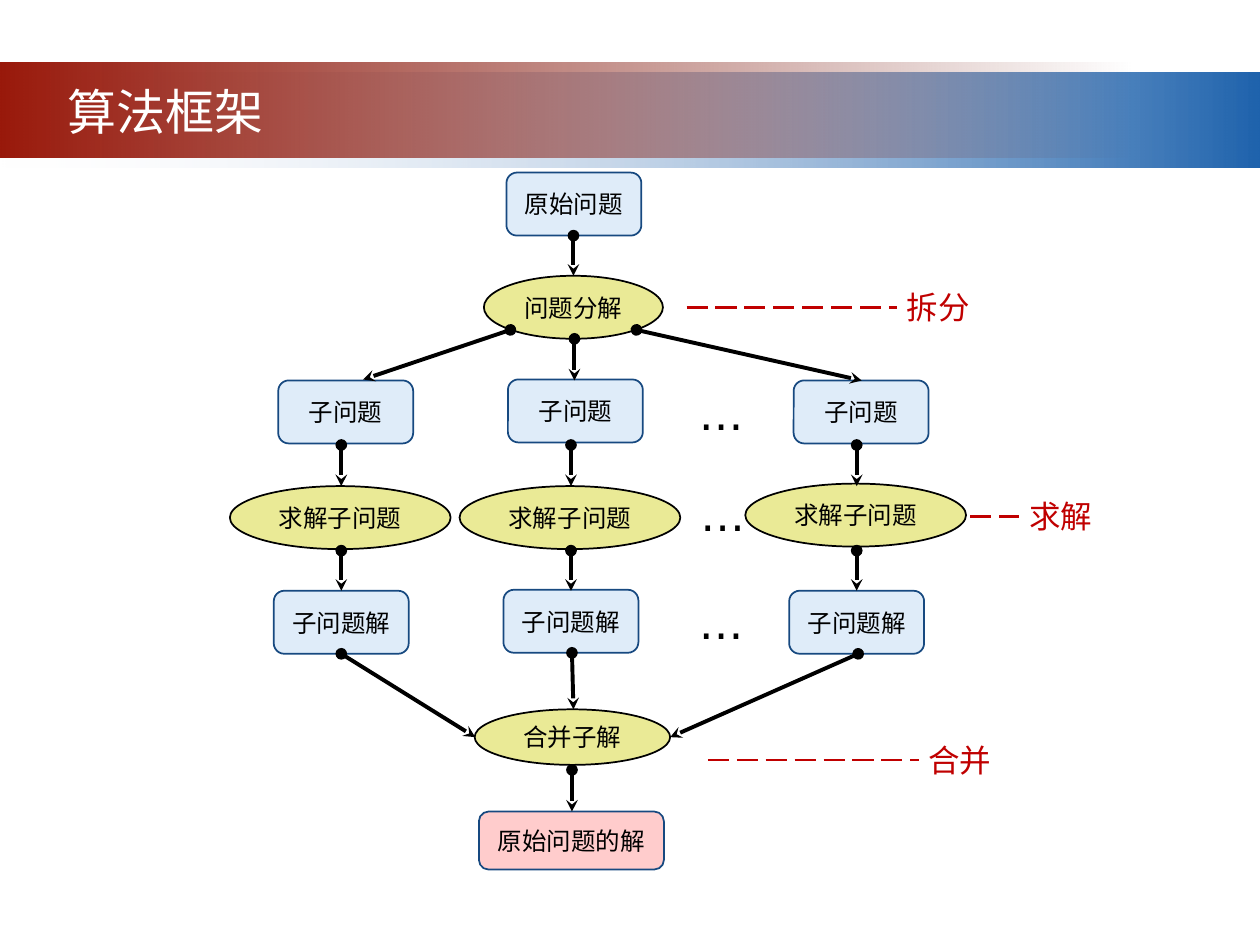
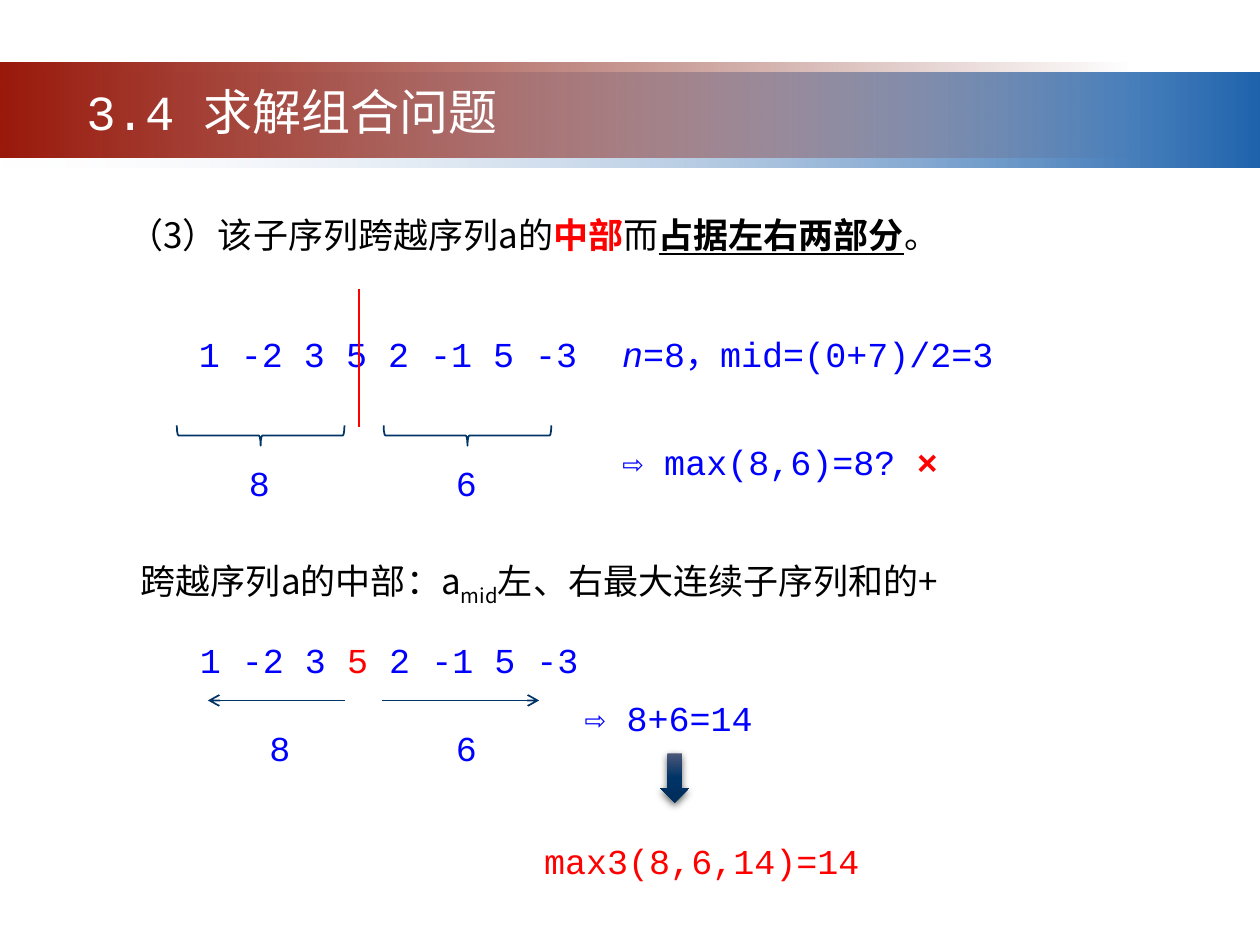
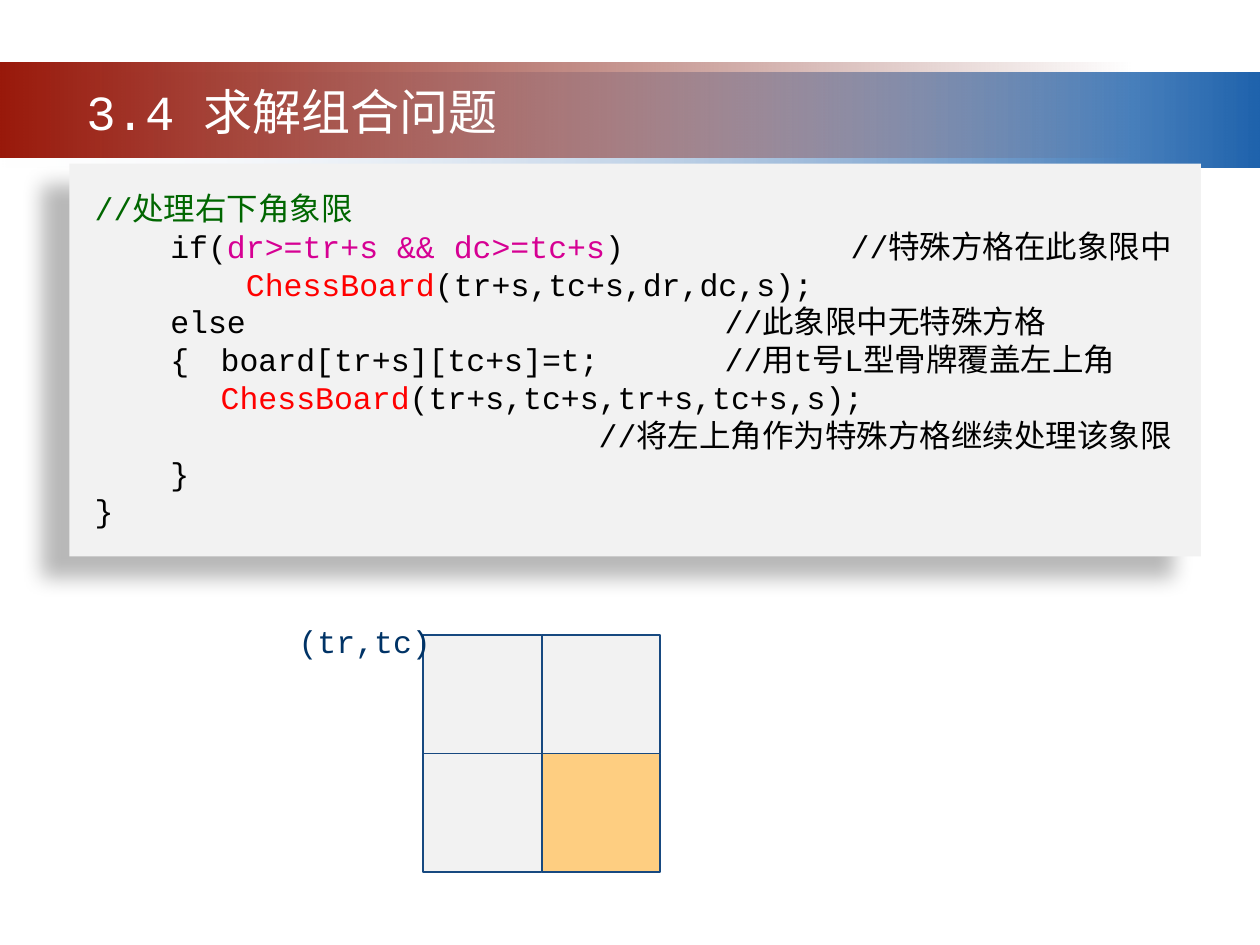
from lxml import etree
from pptx import Presentation
from pptx.dml.color import RGBColor
from pptx.enum.dml import MSO_LINE
from pptx.enum.shapes import MSO_CONNECTOR, MSO_SHAPE
from pptx.enum.text import MSO_ANCHOR, PP_ALIGN
from pptx.oxml.ns import qn
from pptx.util import Cm, Pt

BLACK = RGBColor(0, 0, 0)
WHITE = RGBColor(255, 255, 255)
RED = RGBColor(255, 0, 0)
DARK_RED = RGBColor(0xC0, 0, 0)
BLUE = RGBColor(0, 0, 255)
NAVY = RGBColor(0, 0x33, 0x66)
EDGE = RGBColor(0x17, 0x49, 0x80)
SKY = RGBColor(0x63, 0xA1, 0xE3)
OLIVE = RGBColor(0xCC, 0xCC, 0)
GREEN = RGBColor(0, 0x66, 0)
MAGENTA = RGBColor(0xD6, 0, 0x93)
GREY = RGBColor(0xF2, 0xF2, 0xF2)
ORANGE = RGBColor(0xFE, 0xCE, 0x81)
BAND_PALE = RGBColor(0xF1, 0xF2, 0xF7)
BAND_BLUE = RGBColor(0x1F, 0x63, 0xAD)
BAND_RED = RGBColor(0x99, 0x19, 0x0B)
BAND_DARK = RGBColor(0x6D, 0x12, 0x08)
ARROW_TOP = RGBColor(0x4B, 0x57, 0x79)
ARROW_END = RGBColor(0, 0x2D, 0x5B)

CJK, MONO, SANS = "Noto Sans CJK SC", "Courier New", "DejaVu Sans"
BOX, OVAL, RECT = MSO_SHAPE.ROUNDED_RECTANGLE, MSO_SHAPE.OVAL, MSO_SHAPE.RECTANGLE

BANDS = [
    ((0, 1.47, 25.4, 1.9), [(0, BAND_PALE, 0), (100, BAND_BLUE, 100)]),
    ((0, 1.27, 22.86, 1.9), [(0, BAND_RED, 100), (100, BAND_DARK, 0)]),
]
TITLE_AT = (1.12, 1.52, 9.53, 1.45)
SECTION = [("3.4 ", {"font": MONO}), "求解组合问题"]

COLUMNS = [6.88, 11.51, 17.27]
NODE_H = 1.27
ROWS = [
    ("子问题", BOX, 2.72, 0.09, [7.67, 7.65, 7.67]),
    ("求解子问题", OVAL, 4.45, -0.02, [9.8, 9.8, 9.75]),
    ("子问题解", BOX, 2.72, 0, [11.91, 11.89, 11.91]),
]
SINGLES = [
    ("原始问题", BOX, SKY, 11.57, 3.48, 2.72, 1.27),
    ("问题分解", OVAL, OLIVE, 11.56, 5.56, 3.61, 1.27),
    ("合并子解", OVAL, OLIVE, 11.54, 14.3, 3.94, 1.12),
    ("原始问题的解", BOX, RED, 11.52, 16.36, 3.73, 1.17),
]
NODE_STYLE = {SKY: (20, EDGE), OLIVE: (41, BLACK), RED: (20, EDGE)}
FLOWS = [
    (11.56, 4.75, 11.56, 5.56),
    (10.29, 6.65, 7.32, 7.65),
    (11.58, 6.83, 11.58, 7.67),
    (12.83, 6.65, 17.37, 7.67),
    (6.88, 13.18, 9.58, 14.86),
    (11.53, 13.16, 11.56, 14.3),
    (17.3, 13.18, 13.51, 14.86),
    (11.53, 15.52, 11.53, 16.36),
]
COLUMN_FLOWS = [(8.97, 9.8), (11.1, 11.91)]
STAGES = [
    ("拆分", 13.84, 18.08, 6.2),
    ("求解", 19.56, 20.55, 10.41),
    ("合并", 14.27, 18.52, 15.32),
]
DOTS = [(13.69, 7.87), (13.72, 9.91), (13.69, 12.09)]

HALVES = [("8", 5.05), ("6", 9.22)]
FORMULAS = [
    (3.76, 6.58, 8.13, ["1 -2 3 5 2 -1 5 -3"]),
    (12.29, 6.58, 9.5, [("n", {"italic": True}), "=8，mid=(0+7)/2=3"]),
    (12.29, 8.76, 7.75, ["⇨ max(8,6)=8? ", ("×", {"color": RED, "bold": True})]),
    (3.78, 12.75, 8.13, ["1 -2 3 ", ("5", {"color": RED}), " 2 -1 5 -3"]),
    (5.18, 14.53, 0.99, ["8"]),
    (8.94, 14.53, 0.99, ["6"]),
    (11.53, 13.92, 4.78, ["⇨ 8+6=14"]),
    (10.72, 16.79, 7.34, [("max3(8,6,14)=14", {"color": RED})]),
]
CASE = [
    "（3）该子序列跨越序列a的",
    ("中部", {"color": RED, "bold": True}),
    "而",
    ("占据左右两部分", {"bold": True, "underline": True}),
    "。",
]
CROSSING = ["跨越序列a的中部：a", ("mid", {"base": -25}), "左、右最大连续子序列和的+"]

CALL = ("ChessBoard", {"color": RED})
CODE = [
    [("//处理右下角象限", {"color": GREEN})],
    ["    if(", ("dr>=tr+s && dc>=tc+s", {"color": MAGENTA}), ")\t\t//特殊方格在此象限中"],
    ["        ", CALL, "(tr+s,tc+s,dr,dc,s);"],
    ["    else\t\t\t\t//此象限中无特殊方格"],
    ["    {\tboard[tr+s][tc+s]=t;  \t//用t号L型骨牌覆盖左上角"],
    ["\t", CALL, "(tr+s,tc+s,tr+s,tc+s,s);"],
    ["\t\t\t\t//将左上角作为特殊方格继续处理该象限"],
    ["    }"],
    ["}"],
]
BOARD_LEFT, BOARD_TOP, CELL = 8.53, 12.8, 2.39
QUADRANTS = [[GREY, GREY], [GREY, ORANGE]]


def sub(parent, tag, **attrs):
    return etree.SubElement(parent, qn(tag), {k: str(v) for k, v in attrs.items()})


def cms(at):
    return [Cm(v) for v in at]


def add_shape(slide, kind, at, fill=None, alpha=100, line=None):
    sp = slide.shapes.add_shape(kind, *cms(at))
    sp.shadow.inherit = False
    if fill is None:
        sp.fill.background()
    else:
        sp.fill.solid()
        sp.fill.fore_color.rgb = fill
        if alpha < 100:
            color = sp._element.spPr.find(".//" + qn("a:srgbClr"))
            sub(color, "a:alpha", val=alpha * 1000)
    if line is None:
        sp.line.fill.background()
    else:
        sp.line.color.rgb = line
        sp.line.width = Pt(1)
    return sp


def set_gradient(sp, stops, angle):
    old = sp._element.spPr.find(qn("a:noFill"))
    grad = etree.Element(qn("a:gradFill"))
    stop_list = sub(grad, "a:gsLst")
    for pos, rgb, alpha in stops:
        color = sub(sub(stop_list, "a:gs", pos=pos * 1000), "a:srgbClr", val=rgb)
        sub(color, "a:alpha", val=alpha * 1000)
    sub(grad, "a:lin", ang=angle * 60000, scaled=0)
    old.getparent().replace(old, grad)


def set_shadow(sp, alpha, blur, dist, angle):
    effects = sp._element.spPr.find(qn("a:effectLst"))
    shadow = sub(effects, "a:outerShdw", blurRad=Pt(blur), dist=Pt(dist),
                 dir=angle * 60000, rotWithShape=0)
    sub(sub(shadow, "a:srgbClr", val=BLACK), "a:alpha", val=alpha * 1000)


def add_line(slide, at, color, width, head=None, tail=None):
    line = slide.shapes.add_connector(MSO_CONNECTOR.STRAIGHT, *cms(at))
    line.line.color.rgb = color
    line.line.width = Pt(width)
    for tag, kind in (("a:headEnd", head), ("a:tailEnd", tail)):
        if kind:
            sub(line.line._get_or_add_ln(), tag, type=kind)
    sub(line._element.spPr, "a:effectLst")
    return line


def write(sp, lines, size, font, color, align=PP_ALIGN.LEFT):
    tf = sp.text_frame
    for i, runs in enumerate(lines):
        p = tf.add_paragraph() if i else tf.paragraphs[0]
        p.alignment = align
        for run in runs:
            text, style = (run, {}) if isinstance(run, str) else run
            r = p.add_run()
            r.text = text
            r.font.size = Pt(size)
            r.font.color.rgb = style.get("color", color)
            r.font.name = style.get("font", font)
            sub(r._r.rPr, "a:ea", typeface=CJK)
            r.font.bold = style.get("bold")
            r.font.italic = style.get("italic")
            r.font.underline = style.get("underline")
            if "base" in style:
                r._r.rPr.set("baseline", str(style["base"] * 1000))


def add_text(slide, at, runs, size, font, color, align=PP_ALIGN.LEFT, anchor=MSO_ANCHOR.TOP):
    sp = slide.shapes.add_textbox(*cms(at))
    tf = sp.text_frame
    tf.word_wrap = True
    tf.vertical_anchor = anchor
    if align == PP_ALIGN.LEFT:
        tf.margin_right = 0
    write(sp, [runs], size, font, color, align)
    return sp


def add_bands(slide, layout):
    for at, stops in BANDS:
        band = add_shape(slide, RECT, at)
        set_gradient(band, stops, 0)
        layout.element.cSld.spTree.append(band._element)


def add_title(slide, runs, align):
    add_text(slide, TITLE_AT, runs, 28, CJK, WHITE, align)


def add_node(slide, text, kind, fill, center, top, width, height):
    alpha, edge = NODE_STYLE[fill]
    sp = add_shape(slide, kind, (center - width / 2, top, width, height), fill, alpha, edge)
    sp.text_frame.word_wrap = False
    sp.text_frame.vertical_anchor = MSO_ANCHOR.MIDDLE
    write(sp, [[text]], 14, SANS, BLACK, PP_ALIGN.CENTER)


def build_framework(slide):
    add_title(slide, ["算法框架"], PP_ALIGN.LEFT)
    for node in SINGLES:
        add_node(slide, *node)
    for text, kind, width, shift, tops in ROWS:
        fill = SKY if kind == BOX else OLIVE
        for x, top in zip(COLUMNS, tops):
            add_node(slide, text, kind, fill, x + shift, top, width, NODE_H)
    column_flows = [(x, y1, x, y2) for x in COLUMNS for y1, y2 in COLUMN_FLOWS]
    for at in FLOWS + column_flows:
        add_line(slide, at, BLACK, 2.25, "oval", "stealth")
    middle = PP_ALIGN.CENTER, MSO_ANCHOR.MIDDLE
    for text, x1, x2, y in STAGES:
        add_line(slide, (x1, y, x2, y), DARK_RED, 1.5).line.dash_style = MSO_LINE.LONG_DASH
        add_text(slide, (x2 - 0.53, y - 0.64, 2.72, 1.27), [text], 18, SANS, DARK_RED, *middle)
    for x, y in DOTS:
        add_text(slide, (x, y, 1.7, 1.3), [("…", {"base": 30})], 44, SANS, BLACK, *middle)


def build_crossing(slide):
    add_title(slide, SECTION, PP_ALIGN.CENTER)
    case = add_text(slide, (2.34, 3.86, 18.75, 1.24), CASE, 20, CJK, BLACK)
    case.text_frame.paragraphs[0].line_spacing = Pt(33)
    add_text(slide, (2.59, 11.15, 20.45, 1.12), CROSSING, 20, CJK, BLACK)
    for x, y, width, runs in FORMULAS:
        add_text(slide, (x, y, width, 1.12), runs, 20, MONO, BLUE)
    for total, x in HALVES:
        brace = add_shape(slide, MSO_SHAPE.LEFT_BRACE, (x, 7.09, 0.41, 3.38), line=NAVY)
        brace.rotation = 270
        add_text(slide, (x - 0.28, 9.17, 0.99, 1.12), [total], 20, MONO, BLUE)
    add_line(slide, (7.24, 5.82, 7.24, 8.61), RED, 1)
    for x1, x2 in ((6.96, 4.19), (7.7, 10.87)):
        add_line(slide, (x1, 14.12, x2, 14.12), NAVY, 1, tail="arrow")
    arrow = add_shape(slide, MSO_SHAPE.DOWN_ARROW, (13.31, 15.19, 0.58, 0.99))
    set_gradient(arrow, [(0, ARROW_TOP, 100), (50, NAVY, 100), (100, ARROW_END, 100)], 90)
    set_shadow(arrow, 63, 4.5, 1.5, 90)


def build_quadrant(slide):
    panel = add_shape(slide, RECT, (1.4, 3.3, 22.81, 7.92), GREY)
    set_shadow(panel, 28, 11.8, 19.7, 141)
    tf = panel.text_frame
    tf.word_wrap = True
    tf.vertical_anchor = MSO_ANCHOR.TOP
    tf.margin_left = tf.margin_top = tf.margin_bottom = Cm(0.51)
    write(panel, CODE, 18, MONO, BLACK)
    for p in tf.paragraphs:
        tabs = sub(p._p.get_or_add_pPr(), "a:tabLst")
        for n in range(1, 8):
            sub(tabs, "a:tab", pos=Cm(2.54 * n), algn="l")
    for row, fills in enumerate(QUADRANTS):
        for col, fill in enumerate(fills):
            at = (BOARD_LEFT + col * CELL, BOARD_TOP + row * CELL, CELL, CELL)
            add_shape(slide, RECT, at, fill, line=EDGE)
    add_text(slide, (5.77, 12.42, 3.38, 1.02), ["(tr,tc)"], 18, MONO, NAVY)
    add_title(slide, SECTION, PP_ALIGN.CENTER)


def main():
    prs = Presentation()
    prs.slide_width, prs.slide_height = Cm(25.4), Cm(19.05)
    blank = prs.slide_layouts[6]
    for i, build in enumerate((build_framework, build_crossing, build_quadrant)):
        slide = prs.slides.add_slide(blank)
        if i == 0:
            add_bands(slide, blank)
        build(slide)
    prs.save("out.pptx")


if __name__ == "__main__":
    main()
